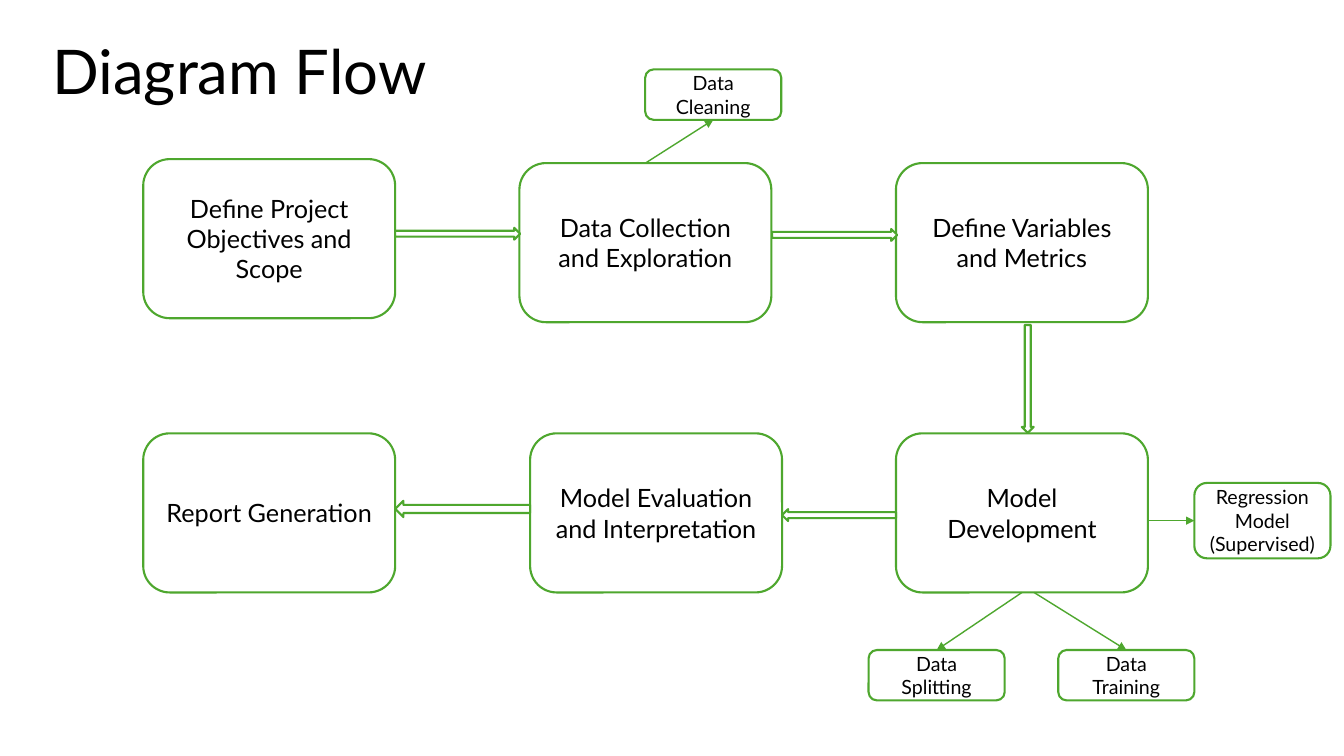
from dataclasses import dataclass
from typing import Optional

from lxml import etree
from pptx import Presentation
from pptx import util as u
from pptx.dml.color import RGBColor
from pptx.enum import shapes, text
from pptx.oxml import ns

GREEN = RGBColor(0x4E, 0xA7, 0x2E)
WHITE = RGBColor(0xFF, 0xFF, 0xFF)
BLACK = RGBColor(0x00, 0x00, 0x00)
FONT = "Lato"
TOP, LEFT, BOTTOM = 0, 1, 2


@dataclass(frozen=True)
class Box:
    """A rounded box; all lengths are in centimetres."""
    name: str
    left: float
    top: float
    lines: tuple[str, ...]
    width: float = 6.35
    height: float = 4.01
    size: int = 18


@dataclass(frozen=True)
class Detail(Box):
    width: float = 3.43
    height: float = 1.27
    size: int = 14


@dataclass(frozen=True)
class BlockArrow:
    left: float
    top: float
    width: float
    height: float = 0.3
    rotation: int = 0


@dataclass(frozen=True)
class Link:
    """A thin arrow; it starts at a free point or at the bottom or top of a box."""
    start: tuple[float, float]
    target: str
    target_side: int
    source: Optional[str] = None
    source_side: int = BOTTOM


COLUMN_1, COLUMN_3 = 3.61, 22.58
UPPER_ROW, LOWER_ROW = 4.11, 10.92
DETAIL_ROW = 16.38

BOXES = (
    Box("objectives", COLUMN_1, 4.01, ("Define Project Objectives and Scope",)),
    Box("collection", 13.09, UPPER_ROW, ("Data Collection and Exploration",)),
    Box("variables", COLUMN_3, UPPER_ROW, ("Define Variables and Metrics",)),
    Box("development", COLUMN_3, LOWER_ROW, ("Model Development",)),
    Box("evaluation", 13.36, LOWER_ROW, ("Model Evaluation and Interpretation",)),
    Box("report", COLUMN_1, LOWER_ROW, ("Report Generation",)),
    Detail("cleaning", 16.26, 1.75, ("Data Cleaning",)),
    Detail("training", 26.67, DETAIL_ROW, ("Data Training",)),
    Detail("splitting", 21.89, DETAIL_ROW, ("Data Splitting",)),
    Detail("regression", 30.1, 12.17, ("Regression Model", "(Supervised)"), height=1.9),
)

BLOCK_ARROWS = (
    BlockArrow(9.96, 5.74, 3.15),
    BlockArrow(19.46, 5.77, 3.15),
    BlockArrow(24.54, 9.4, 2.72, rotation=90),
    BlockArrow(19.71, 12.83, 2.87, rotation=180),
    BlockArrow(9.96, 12.62, 3.4, 0.41, rotation=180),
)

LINKS = (
    Link((16.26, 4.11), "cleaning", BOTTOM, "collection", TOP),
    Link((28.93, 13.12), "regression", LEFT),
    Link((25.76, 14.93), "splitting", TOP, "development", BOTTOM),
    Link((26.06, 14.93), "training", TOP),
)


def write_text(frame, lines: tuple[str, ...], size: int, paragraph_format: dict) -> None:
    frame.word_wrap = True
    frame.vertical_anchor = text.MSO_ANCHOR.MIDDLE
    for index, line in enumerate(lines):
        paragraph = frame.paragraphs[0] if index == 0 else frame.add_paragraph()
        for attribute, value in paragraph_format.items():
            setattr(paragraph, attribute, value)
        run = paragraph.add_run()
        run.text = line
        for attribute, value in {"name": FONT, "size": u.Pt(size)}.items():
            setattr(run.font, attribute, value)
        run.font.color.rgb = BLACK


def add_outlined(slide, kind, left: float, top: float, width: float, height: float):
    """Add a white shape with a green outline."""
    shape = slide.shapes.add_shape(kind, u.Cm(left), u.Cm(top), u.Cm(width), u.Cm(height))
    shape.shadow.inherit = False
    shape.fill.solid()
    shape.fill.fore_color.rgb = WHITE
    shape.line.color.rgb = GREEN
    shape.line.width = u.Pt(1.5)
    return shape


def add_box(slide, box: Box):
    shape = add_outlined(slide, shapes.MSO_SHAPE.ROUNDED_RECTANGLE,
                         box.left, box.top, box.width, box.height)
    write_text(shape.text_frame, box.lines, box.size,
               {"alignment": text.PP_ALIGN.CENTER})
    return shape


def add_block_arrow(slide, arrow: BlockArrow) -> None:
    shape = add_outlined(slide, shapes.MSO_SHAPE.RIGHT_ARROW,
                         arrow.left, arrow.top, arrow.width, arrow.height)
    shape.rotation = arrow.rotation


def add_link(slide, link: Link, drawn: dict) -> None:
    x, y = (u.Cm(value) for value in link.start)
    connector = slide.shapes.add_connector(shapes.MSO_CONNECTOR.STRAIGHT, x, y, x, y)
    if link.source:
        connector.begin_connect(drawn[link.source], link.source_side)
    connector.end_connect(drawn[link.target], link.target_side)
    connector.line.color.rgb = GREEN
    connector.line.width = u.Pt(1)
    properties = connector.element.spPr
    etree.SubElement(properties.find(ns.qn("a:ln")), ns.qn("a:tailEnd"), type="triangle")
    etree.SubElement(properties, ns.qn("a:effectLst"))


def main() -> None:
    presentation = Presentation()
    presentation.slide_width = u.Cm(33.87)
    presentation.slide_height = u.Cm(19.05)
    slide = presentation.slides.add_slide(presentation.slide_layouts[6])

    title = slide.shapes.add_textbox(u.Cm(1.07), u.Cm(0.48), u.Cm(18.36), u.Cm(2.82))
    write_text(title.text_frame, ("Diagram Flow",), 44, {"line_spacing": 0.9})

    drawn = {box.name: add_box(slide, box) for box in BOXES}
    for arrow in BLOCK_ARROWS:
        add_block_arrow(slide, arrow)
    for link in LINKS:
        add_link(slide, link, drawn)

    presentation.save("out.pptx")


if __name__ == "__main__":
    main()
